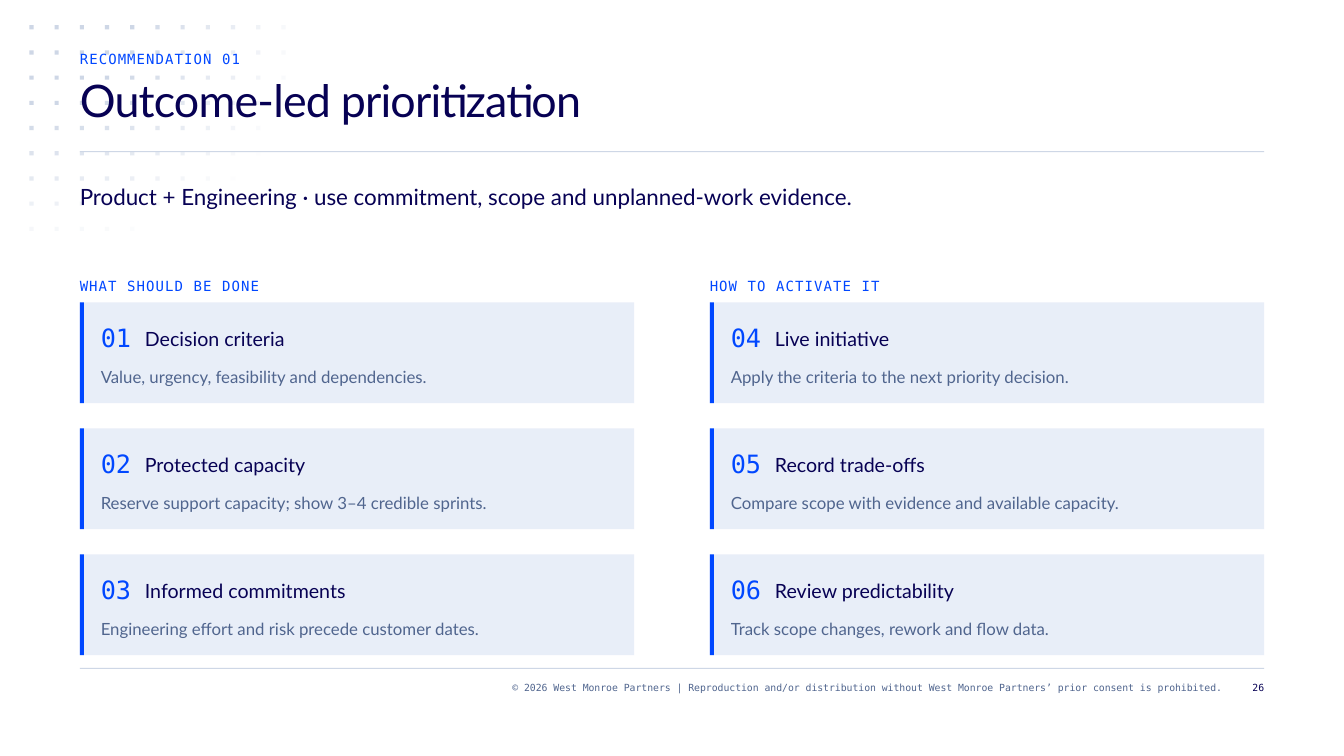
import math

import lxml.etree
import pptx
import pptx.dml.color
import pptx.enum.shapes
import pptx.enum.text
import pptx.oxml.ns
import pptx.util

Pt = pptx.util.Pt
qn = pptx.oxml.ns.qn
ALIGN = pptx.enum.text.PP_ALIGN

COLORS = {
    "navy": "070154",
    "blue": "0047FF",
    "slate": "50658E",
    "rule": "CED7E6",
    "card": "E8EEF8",
}
SANS = "Lato"
MONO = "DejaVu Sans Mono"

LEFT, WIDTH = 57, 846
COLUMN_WIDTH, COLUMN_STEP = 396, 450
CARD_TOP, CARD_HEIGHT, CARD_STEP = 216, 72, 90
DOT_GAP = 18

COLUMNS = [
    ("WHAT SHOULD BE DONE", [
        ("Decision criteria", "Value, urgency, feasibility and dependencies."),
        ("Protected capacity", "Reserve support capacity; show 3–4 credible sprints."),
        ("Informed commitments", "Engineering effort and risk precede customer dates."),
    ]),
    ("HOW TO ACTIVATE IT", [
        ("Live initiative", "Apply the criteria to the next priority decision."),
        ("Record trade-offs", "Compare scope with evidence and available capacity."),
        ("Review predictability", "Track scope changes, rework and flow data."),
    ]),
]


class Deck:
    def __init__(self, slide):
        self.s = slide

    def color(self, name):
        return pptx.dml.color.RGBColor.from_string(COLORS[name])

    def rect(self, x, y, w, h, color, alpha=100):
        sp = self.s.shapes.add_shape(
            pptx.enum.shapes.MSO_SHAPE.RECTANGLE, Pt(x), Pt(y), Pt(w), Pt(h))
        sp.shadow.inherit = False
        sp.fill.solid()
        sp.fill.fore_color.rgb = self.color(color)
        sp.line.fill.background()
        if alpha < 100:
            clr = sp._element.spPr.find(qn("a:solidFill")).find(qn("a:srgbClr"))
            lxml.etree.SubElement(clr, qn("a:alpha")).set("val", str(alpha * 1000))

    def text(self, x, y, w, h, text, size, leading, color, font=SANS,
             align=ALIGN.LEFT, spacing=0):
        tf = self.s.shapes.add_textbox(Pt(x), Pt(y), Pt(w), Pt(h)).text_frame
        tf.margin_left = tf.margin_right = tf.margin_top = tf.margin_bottom = 0
        tf.word_wrap = True
        p = tf.paragraphs[0]
        p.alignment = align
        p.line_spacing = Pt(leading)
        p.font.name = font
        p.font.size = Pt(size)
        p.font.color.rgb = self.color(color)
        r = p.add_run()
        r.text = text
        if spacing:
            r._r.get_or_add_rPr().set("spc", str(round(spacing * 100)))

    def label(self, x, y, w, text):
        self.text(x, y, w, 12, text, 10, 12, "blue", MONO, spacing=0.8)

    def rule(self, y):
        self.rect(LEFT, y, WIDTH, 0.75, "rule")

    def dots(self):
        for col in range(11):
            for row in range(9):
                fade = 154 * (1 - math.hypot(col / 11.07, row / 9.05))
                if fade > 1.5:
                    self.rect(21 + col * DOT_GAP, 18 + row * DOT_GAP, 3, 3,
                              "rule", min(100, round(fade)))

    def card(self, x, y, number, title, body):
        self.rect(x, y, COLUMN_WIDTH, CARD_HEIGHT, "card")
        self.rect(x, y, 3, CARD_HEIGHT, "blue")
        self.text(x + 15, y + 12, 22.5, 24, f"{number:02d}", 18, 24, "blue", MONO)
        self.text(x + 46.5, y + 13.5, 337.5, 21, title, 14, 21, "navy")
        self.text(x + 15, y + 42, 369, 18, body, 12, 18, "slate")


def main():
    prs = pptx.Presentation()
    prs.slide_width, prs.slide_height = Pt(960), Pt(540)
    deck = Deck(prs.slides.add_slide(prs.slide_layouts[6]))

    deck.rule(477)
    deck.dots()
    deck.rule(108)
    deck.text(171, 486, 702, 18,
              "© 2026 West Monroe Partners | Reproduction and/or distribution without "
              "West Monroe Partners’ prior consent is prohibited.",
              7, 9, "slate", MONO, ALIGN.RIGHT)
    deck.label(LEFT, 36, WIDTH, "RECOMMENDATION 01")
    deck.text(LEFT, 54, WIDTH, 54, "Outcome-led prioritization", 32, 36, "navy",
              spacing=-0.6)
    deck.text(879, 486, 24, 18, "26", 7, 9, "navy", MONO, ALIGN.RIGHT)
    deck.text(LEFT, 126, WIDTH, 24,
              "Product + Engineering · use commitment, scope and unplanned-work evidence.",
              16, 24, "navy")

    number = 0
    for col, (heading, cards) in enumerate(COLUMNS):
        x = LEFT + col * COLUMN_STEP
        deck.label(x, 198, COLUMN_WIDTH, heading)
        for row, (title, body) in enumerate(cards):
            number += 1
            deck.card(x, CARD_TOP + row * CARD_STEP, number, title, body)

    prs.save("out.pptx")


if __name__ == "__main__":
    main()
